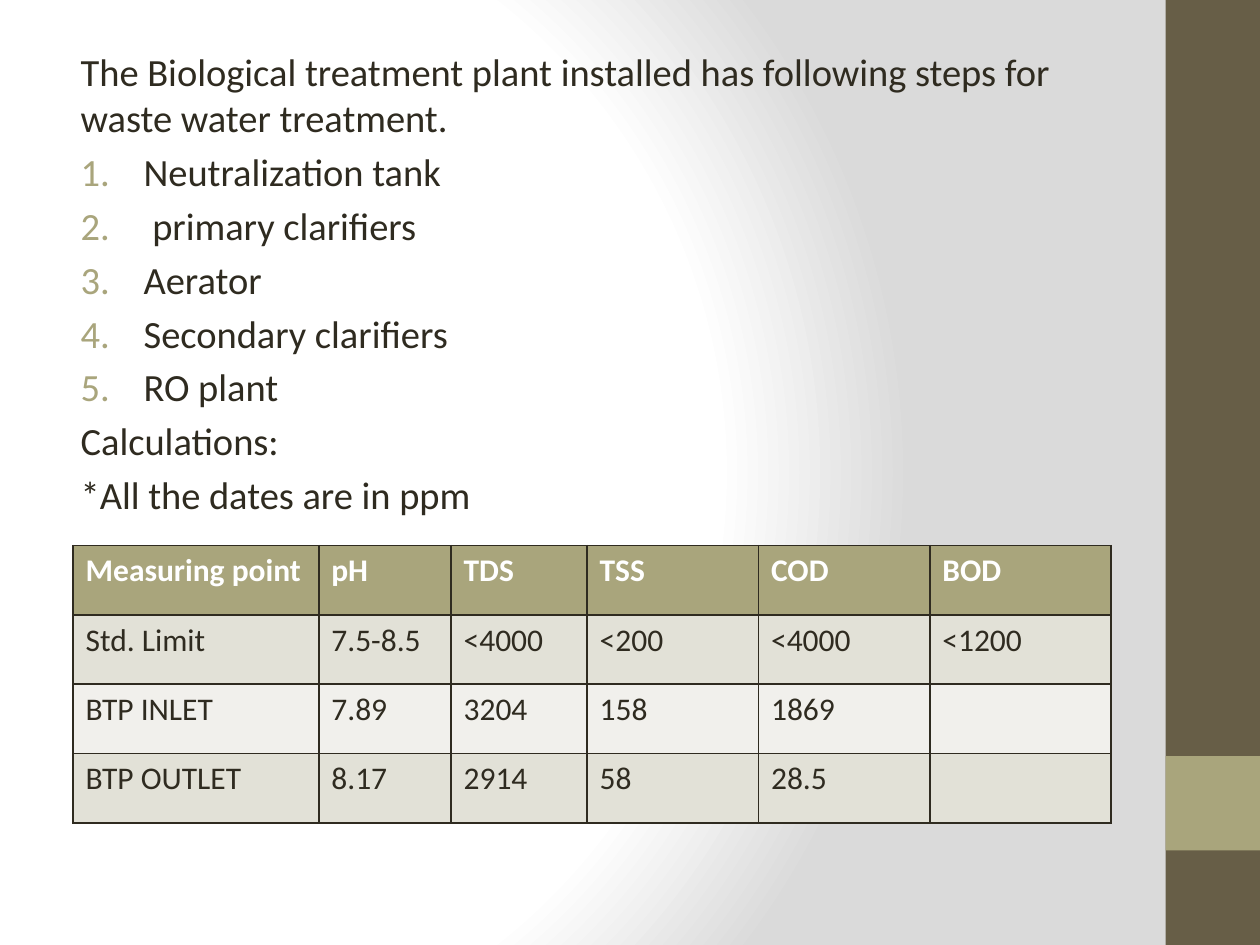
from pptx import Presentation
from pptx.dml.color import RGBColor
from pptx.enum.shapes import MSO_SHAPE
from pptx.enum.text import MSO_ANCHOR, MSO_AUTO_SIZE
from pptx.oxml import parse_xml
from pptx.util import Inches, Pt

FONT = "Calibri"
COLORS = {
    "text": "2F2B20", "white": "FFFFFF", "shade": "DADADA", "bar": "675E47",
    "accent": "A9A57C", "band_dark": "E2E1D7", "band_light": "F1F0EC",
}
NS = 'xmlns:a="http://schemas.openxmlformats.org/drawingml/2006/main"'
NS_P = 'xmlns:p="http://schemas.openxmlformats.org/presentationml/2006/main"'

SIDE_BLOCKS = [(0, 7.5, "bar"), (6, 0.75, "accent")]
LINES = [
    ("The Biological treatment plant installed has following steps for waste water treatment.", False),
    ("Neutralization tank", True),
    (" primary clarifiers", True),
    ("Aerator", True),
    ("Secondary clarifiers", True),
    ("RO plant", True),
    ("Calculations:", False),
    ("*All the dates are in ppm", False),
]
COLUMN_WIDTHS = [1.95, 1.05, 1.08, 1.36, 1.36, 1.44]
ROW_HEIGHT = 0.55
ROWS = [
    ("Measuring point", "pH", "TDS", "TSS", "COD", "BOD"),
    ("Std. Limit", "7.5-8.5", "<4000", "<200", "<4000", "<1200"),
    ("BTP INLET", "7.89", "3204", "158", "1869", ""),
    ("BTP OUTLET", "8.17", "2914", "58", "28.5", ""),
]


def color(name):
    return RGBColor.from_string(COLORS[name])


def set_font(paragraph, size, color_name, bold=False):
    font = paragraph.font
    font.name, font.size, font.bold = FONT, Pt(size), bold
    font.color.rgb = color(color_name)


def set_background(slide):
    stops = "".join(
        f'<a:gs pos="{position}"><a:srgbClr val="{COLORS[name]}"/></a:gs>'
        for position, name in [(0, "white"), (75000, "white"), (100000, "shade")])
    background = parse_xml(
        f'<p:bg {NS} {NS_P}><p:bgPr><a:gradFill rotWithShape="1"><a:gsLst>{stops}</a:gsLst>'
        '<a:path path="circle"><a:fillToRect l="20000" t="50000" r="100000" b="50000"/></a:path>'
        '</a:gradFill><a:effectLst/></p:bgPr></p:bg>')
    slide.element.cSld.insert(0, background)


def set_bullet(paragraph, numbered):
    properties = paragraph._p.get_or_add_pPr()
    properties.set("marL", str(Inches(0.62 if numbered else 0.12)))
    properties.set("indent", str(Inches(-0.5 if numbered else 0)))
    if numbered:
        properties.append(parse_xml(
            f'<a:buClr {NS}><a:srgbClr val="{COLORS["accent"]}"/></a:buClr>'))
        properties.append(parse_xml(f'<a:buFont {NS} typeface="{FONT}"/>'))
        properties.append(parse_xml(f'<a:buAutoNum {NS} type="arabicPeriod"/>'))
    else:
        properties.append(parse_xml(f'<a:buNone {NS}/>'))


def set_borders(cell):
    properties = cell._tc.get_or_add_tcPr()
    for index, side in enumerate(("lnL", "lnR", "lnT", "lnB")):
        properties.insert(index, parse_xml(
            f'<a:{side} {NS} w="{Pt(1)}"><a:solidFill><a:srgbClr val="{COLORS["text"]}"/>'
            f'</a:solidFill></a:{side}>'))


presentation = Presentation()
presentation.slide_width, presentation.slide_height = Inches(10), Inches(7.5)
slide = presentation.slides.add_slide(presentation.slide_layouts[1])
set_background(slide)
title = slide.shapes.title.element
title.getparent().remove(title)

body = slide.placeholders[1]
body.left, body.top = Inches(0.42), Inches(0.33)
body.width, body.height = Inches(8.33), Inches(7.08)
frame = body.text_frame
frame.word_wrap = True
frame.auto_size = MSO_AUTO_SIZE.NONE
frame.vertical_anchor = MSO_ANCHOR.TOP
for index, (text, numbered) in enumerate(LINES):
    paragraph = frame.add_paragraph() if index else frame.paragraphs[0]
    paragraph.text = text
    paragraph.space_before = Pt(4.4)
    set_font(paragraph, 22, "text")
    set_bullet(paragraph, numbered)

for top, height, name in SIDE_BLOCKS:
    block = slide.shapes.add_shape(
        MSO_SHAPE.RECTANGLE, Inches(9.25), Inches(top), Inches(0.75), Inches(height))
    block.shadow.inherit = False
    block.fill.solid()
    block.fill.fore_color.rgb = color(name)
    block.line.fill.background()

table = slide.shapes.add_table(
    len(ROWS), len(COLUMN_WIDTHS), Inches(0.58), Inches(4.33),
    Inches(sum(COLUMN_WIDTHS)), Inches(ROW_HEIGHT * len(ROWS))).table
for column, width in zip(table.columns, COLUMN_WIDTHS):
    column.width = Inches(width)
for row_index, values in enumerate(ROWS):
    header = row_index == 0
    fill_name = "accent" if header else ("band_light", "band_dark")[row_index % 2]
    for column_index, value in enumerate(values):
        cell = table.cell(row_index, column_index)
        cell.text = value
        cell.fill.solid()
        cell.fill.fore_color.rgb = color(fill_name)
        set_borders(cell)
        set_font(cell.text_frame.paragraphs[0], 18, "white" if header else "text", header)

presentation.save("out.pptx")
